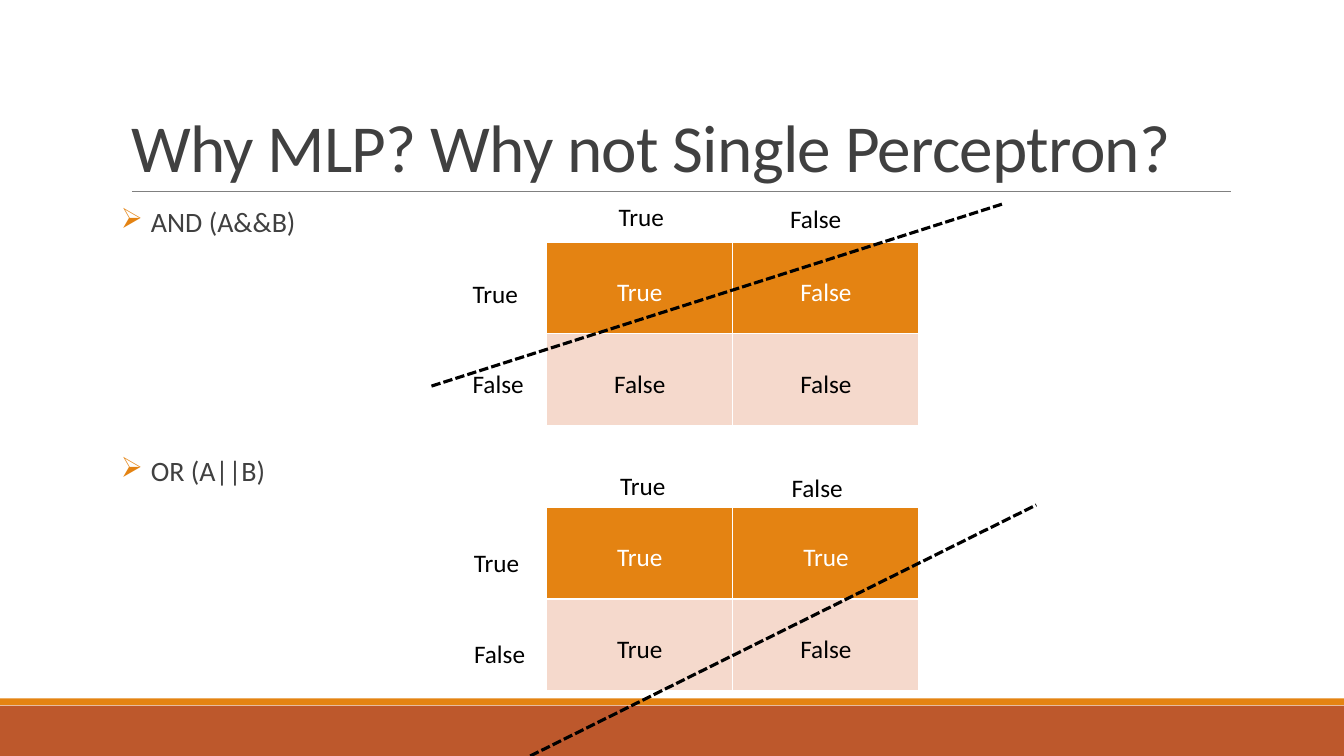
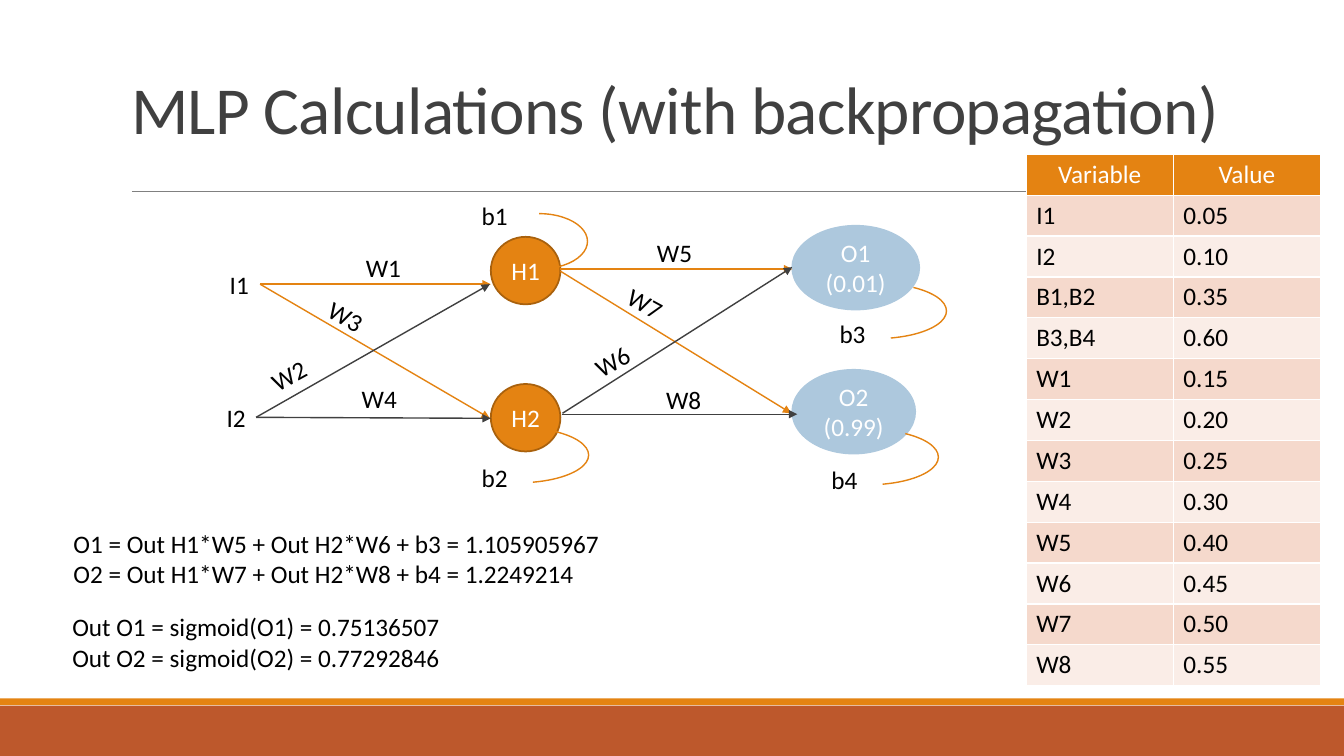
"""Builds two slides that explain the multilayer perceptron."""
import lxml.etree
import pptx
import pptx.dml.color
import pptx.enum.dml
import pptx.enum.shapes
import pptx.enum.text
import pptx.oxml.ns
import pptx.util

Pt = pptx.util.Pt
RGBColor = pptx.dml.color.RGBColor
Align = pptx.enum.text.PP_ALIGN
Anchor = pptx.enum.text.MSO_ANCHOR
Shape = pptx.enum.shapes.MSO_SHAPE
qn = pptx.oxml.ns.qn

FONT = "Calibri"
ORANGE = RGBColor(0xE4, 0x83, 0x12)
BROWN = RGBColor(0xA9, 0x61, 0x0D)
RUST = RGBColor(0xBD, 0x58, 0x2C)
BLUE = RGBColor(0xAD, 0xC8, 0xDD)
PINK = RGBColor(0xF5, 0xD9, 0xCC)
PALE_PINK = RGBColor(0xFA, 0xED, 0xE7)
CHARCOAL = RGBColor(0x40, 0x40, 0x40)
GRAY = RGBColor(0x80, 0x80, 0x80)
BLACK = RGBColor(0, 0, 0)
WHITE = RGBColor(0xFF, 0xFF, 0xFF)

LABEL_HEIGHT = 28.8
LABEL_WIDTHS = {"T": 47.5, "F": 51.1, "W": 39.6, "b": 33.1, "I": 28.1}


def points(*lengths):
    """Turn numbers into lengths in points."""
    return [Pt(length) for length in lengths]


def write_text(frame, text, size=18, color=BLACK, align=Align.LEFT,
               line_spacing=None, tracking=None):
    """Write each line of the text as one formatted paragraph."""
    for index, line in enumerate(text.split("\n")):
        paragraph = frame.add_paragraph() if index else frame.paragraphs[0]
        paragraph.alignment = align
        if line_spacing:
            paragraph.line_spacing = line_spacing
        run = paragraph.add_run()
        run.text = line
        run.font.name = FONT
        run.font.size = Pt(size)
        run.font.bold = False
        run.font.color.rgb = color
        if tracking:
            run.font.element.set("spc", str(tracking)) if hasattr(
                run.font, "element") else run._r.get_or_add_rPr().set("spc", str(tracking))


def add_text(slide, text, left, top, width, height, rotation=0, wrap=False, **style):
    """Add a text box and return its frame."""
    box = slide.shapes.add_textbox(*points(left, top, width, height))
    box.rotation = rotation
    box.text_frame.word_wrap = wrap
    write_text(box.text_frame, text, **style)
    return box.text_frame


def add_label(slide, text, left, top, rotation=0):
    """Add a short label whose width follows from its first letter."""
    add_text(slide, text, left, top, LABEL_WIDTHS[text[0]], LABEL_HEIGHT, rotation)


def add_bullet(slide, text, top):
    """Add one line of body text with an arrowhead bullet."""
    frame = add_text(slide, text, 86.4, top, 230, 30, wrap=True,
                     size=20, color=CHARCOAL, line_spacing=0.9)
    frame.margin_left = 0
    properties = frame.paragraphs[0]._p.get_or_add_pPr()
    properties.set("marL", str(Pt(21.4)))
    properties.set("indent", str(-Pt(21.4)))
    bullet_color = lxml.etree.SubElement(properties, qn("a:buClr"))
    lxml.etree.SubElement(bullet_color, qn("a:srgbClr"), val=str(ORANGE))
    lxml.etree.SubElement(properties, qn("a:buChar"), char="➢")


def add_figure(slide, kind, left, top, width, height, fill=None, line=None, weight=1):
    """Add a flat preset shape."""
    figure = slide.shapes.add_shape(kind, *points(left, top, width, height))
    figure.shadow.inherit = False
    if fill is None:
        figure.fill.background()
    else:
        figure.fill.solid()
        figure.fill.fore_color.rgb = fill
    if line is None:
        figure.line.fill.background()
    else:
        figure.line.color.rgb = line
        figure.line.width = Pt(weight)
    return figure


def add_line(slide, start, end, color, weight=1, dashed=False, arrow=False):
    """Add a straight line, dashed or with an arrowhead if asked."""
    line = slide.shapes.add_connector(
        pptx.enum.shapes.MSO_CONNECTOR.STRAIGHT, *points(*start, *end))
    line.line.color.rgb = color
    line.line.width = Pt(weight)
    if dashed:
        line.line.dash_style = pptx.enum.dml.MSO_LINE.SQUARE_DOT
    properties = line.element.find(qn("p:spPr"))
    if arrow:
        outline = properties.find(qn("a:ln"))
        lxml.etree.SubElement(outline, qn("a:tailEnd"), type="triangle")
    lxml.etree.SubElement(properties, qn("a:effectLst"))


def add_neuron(slide, text, left, top, width, height, fill, line):
    """Add an ellipse with centred white text."""
    neuron = add_figure(slide, Shape.OVAL, left, top, width, height, fill, line, 1.25)
    frame = neuron.text_frame
    frame.margin_left = frame.margin_right = 0
    frame.vertical_anchor = Anchor.MIDDLE
    write_text(frame, text, color=WHITE, align=Align.CENTER)


def add_bias_arc(slide, left, top, width=100.8, start=196.77):
    """Add the arc that ties a bias to its neuron."""
    arc = add_figure(slide, Shape.ARC, left, top, width, 39.6, line=ORANGE)
    arc.adjustments[0] = start
    arc.adjustments[1] = 36.76


def border_cell(cell):
    """Give a cell thin white borders."""
    properties = cell._tc.get_or_add_tcPr()
    for index, side in enumerate(("lnL", "lnR", "lnT", "lnB")):
        border = lxml.etree.Element(qn("a:" + side), w=str(Pt(1)))
        fill = lxml.etree.SubElement(border, qn("a:solidFill"))
        lxml.etree.SubElement(fill, qn("a:srgbClr"), val=str(WHITE))
        properties.insert(index, border)


def add_grid(slide, rows, left, top, column_width, row_height, fills,
             body_align=Align.LEFT, margin_top=3.6):
    """Add a table with an orange first row and alternating fills below."""
    size = points(left, top, column_width * len(rows[0]), row_height * len(rows))
    grid = slide.shapes.add_table(len(rows), len(rows[0]), *size).table
    grid.first_row = grid.horz_banding = False
    for column in grid.columns:
        column.width = Pt(column_width)
    for row_index, values in enumerate(rows):
        grid.rows[row_index].height = Pt(row_height)
        header = row_index == 0
        for column_index, value in enumerate(values):
            cell = grid.cell(row_index, column_index)
            cell.margin_top = Pt(margin_top)
            cell.fill.solid()
            cell.fill.fore_color.rgb = (
                ORANGE if header else fills[(row_index - 1) % len(fills)])
            border_cell(cell)
            write_text(cell.text_frame, value, color=WHITE if header else BLACK,
                       align=Align.CENTER if header else body_align)


def add_truth_table(slide, rows, top, labels_left, labels_top):
    """Add a two by two truth table with labels above and beside it."""
    add_grid(slide, rows, 390.5, top, 133, 65.6, [PINK], Align.CENTER, margin_top=25.6)
    for text, dx, dy in (("True", 104.4, 0), ("False", 226.8, 1.4),
                         ("True", 0, 54.7), ("False", 0, 119.5)):
        add_label(slide, text, labels_left + dx, labels_top + dy)


def add_titled_slide(deck, title, title_top):
    """Add a slide with the shared bands, title and rule."""
    slide = deck.slides.add_slide(deck.slide_layouts[5])
    add_figure(slide, Shape.RECTANGLE, 0, 504, 960, 36, RUST)
    add_figure(slide, Shape.RECTANGLE, 0, 498.8, 960, 5, ORANGE)
    add_line(slide, (94.3, 136.8), (879.1, 136.8), GRAY, 0.5)
    heading = slide.shapes.title
    heading.left, heading.top, heading.width, heading.height = points(
        86.4, title_top, 792, 114.5)
    heading.text_frame.vertical_anchor = Anchor.BOTTOM
    heading.text_frame.word_wrap = True
    write_text(heading.text_frame, title, size=48, color=CHARCOAL,
               line_spacing=0.85, tracking=-50)
    return slide


def build_motivation(deck):
    """Build the slide on linearly separable functions."""
    slide = add_titled_slide(deck, "Why MLP? Why not Single Perceptron?", 22.3)
    add_bullet(slide, "AND (A&&B)", 145.5)
    add_bullet(slide, "OR (A||B)", 323.3)
    add_truth_table(slide, [("True", "False"), ("False", "False")], 172.8, 330.5, 140.4)
    add_truth_table(slide, [("True", "True"), ("True", "False")], 362.2, 331.5, 332.6)
    add_line(slide, (308.2, 275.8), (717.1, 145.4), BLACK, 2.25, dashed=True)
    add_line(slide, (378.7, 540), (740.2, 360.7), BLACK, 2.25, dashed=True)


def build_calculations(deck):
    """Build the slide on the network and its values."""
    slide = add_titled_slide(deck, "MLP Calculations (with backpropagation)", -5)
    for text, top in (("H1", 169.2), ("H2", 274.3)):
        add_neuron(slide, text, 350.6, top, 49.7, 48.2, ORANGE, BROWN)
    for text, top, width in (("O1\n(0.01)", 161.3, 90.7), ("O2\n(0.99)", 264.2, 87.8)):
        add_neuron(slide, text, 565.9, top, width, 59.8, BLUE, BLUE)

    for start, end, color in (
            ((185.8, 203), (350.6, 203), ORANGE),
            ((185.8, 203), (349.9, 298.8), ORANGE),
            ((182.9, 298.1), (349.9, 203), CHARCOAL),
            ((182.9, 298.1), (350.6, 298.8), CHARCOAL),
            ((400.3, 192.2), (565.9, 192.2), ORANGE),
            ((400.3, 193.7), (565.2, 295.2), ORANGE),
            ((401.8, 295.2), (565.9, 190.8), CHARCOAL),
            ((401.8, 295.9), (569.5, 295.9), CHARCOAL)):
        add_line(slide, start, end, color, arrow=True)

    add_bias_arc(slide, 350.6, 152.6, width=69.1, start=162)
    for left, top in ((319.7, 305.3), (575.3, 202.3), (569.5, 306.7)):
        add_bias_arc(slide, left, top)

    for text, left, top, rotation in (
            ("I1", 157, 188.6, 0), ("I2", 154.8, 283.7, 0),
            ("W1", 254.2, 176.4, 0), ("W2", 186.5, 253.4, 331.3),
            ("W3", 227.5, 211.7, 28.4), ("W4", 251.3, 270, 0),
            ("W5", 462.2, 166.3, 0), ("W6", 417.6, 243.4, 331.3),
            ("W7", 441.4, 202.3, 28.4), ("W8", 468.7, 270.7, 0),
            ("b1", 337, 139.7, 0), ("b2", 337, 326.9, 0),
            ("b3", 592.6, 223.9, 0), ("b4", 586.8, 328.3, 0)):
        add_label(slide, text, left, top, rotation)

    values = [("Variable", "Value"), ("I1", "0.05"), ("I2", "0.10"),
              ("B1,B2", "0.35"), ("B3,B4", "0.60")]
    values += [(f"W{n}", f"{0.10 + 0.05 * n:.2f}") for n in range(1, 5)]
    values += [(f"W{n}", f"{0.15 + 0.05 * n:.2f}") for n in range(5, 9)]
    add_grid(slide, values, 733, 110.2, 105.1, 29.2, [PINK, PALE_PINK])

    add_text(slide, "O1 = Out H1*W5 + Out H2*W6 + b3 = 1.105905967\n"
             "O2 = Out H1*W7 + Out H2*W8 + b4 = 1.2249214", 45.4, 373.7, 394.6, 51.1)
    add_text(slide, "Out O1 = sigmoid(O1) = 0.75136507\n"
             "Out O2 = sigmoid(O2) = 0.77292846", 44.6, 433.4, 292.3, 51.1, wrap=True)


def main():
    """Build the deck and save it."""
    deck = pptx.Presentation()
    deck.slide_width, deck.slide_height = points(960, 540)
    build_motivation(deck)
    build_calculations(deck)
    deck.save("out.pptx")


if __name__ == "__main__":
    main()
